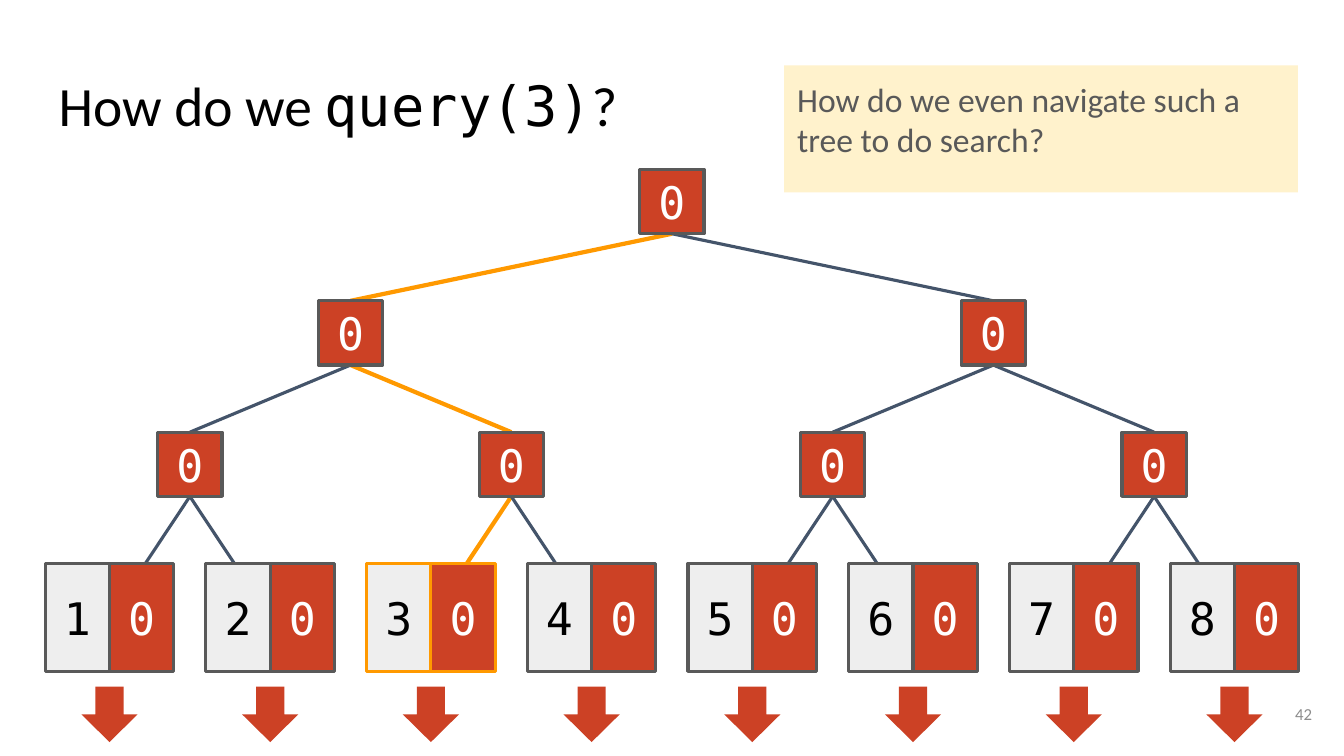
from dataclasses import dataclass

from pptx import Presentation
from pptx import util as u
from pptx.dml.color import RGBColor
from pptx.enum import shapes, text
from pptx.oxml import xmlchemy


@dataclass(frozen=True)
class Theme:
    sans: str = "Calibri"
    mono: str = "DejaVu Sans Mono"
    black: str = "000000"
    white: str = "FFFFFF"
    red: str = "CC4125"
    pale: str = "EEEEEE"
    cream: str = "FFF2CC"
    gray: str = "595959"
    faint: str = "8C8C8C"
    navy: str = "44546A"
    orange: str = "FF9900"
    title_size: float = 39.6
    value_size: float = 32
    note_size: float = 24
    number_size: float = 12
    border: float = 2.25
    path_line: float = 3


class Slide:
    def __init__(self, page, theme):
        self.page = page
        self.theme = theme

    def shape(self, kind, left, top, width, height, fill, line=None, group=None):
        parent = group or self.page
        box = parent.shapes.add_shape(kind, u.Cm(left), u.Cm(top), u.Cm(width), u.Cm(height))
        box.shadow.inherit = False
        box.fill.solid()
        box.fill.fore_color.rgb = RGBColor.from_string(fill)
        if line:
            box.line.color.rgb = RGBColor.from_string(line)
            box.line.width = u.Pt(self.theme.border)
        else:
            box.line.fill.background()
        return box

    def set_text(self, box, spans, size, color, align, anchor, inset=0.33):
        frame = box.text_frame
        frame.word_wrap = True
        frame.vertical_anchor = anchor
        frame.margin_left = frame.margin_right = u.Cm(inset)
        frame.margin_top = frame.margin_bottom = u.Cm(inset)
        para = frame.paragraphs[0]
        para.alignment = align
        for content, font in spans:
            span = para.add_run()
            span.text = content
            span.font.name = font
            span.font.size = u.Pt(size)
            span.font.color.rgb = RGBColor.from_string(color)
        return para

    def label(self, left, top, width, height, *style):
        box = self.page.shapes.add_textbox(u.Cm(left), u.Cm(top), u.Cm(width), u.Cm(height))
        return self.set_text(box, *style)

    def cell(self, value, left, top, width, height, fill, color, line, group=None):
        box = self.shape(shapes.MSO_SHAPE.RECTANGLE, left, top, width, height, fill, line, group)
        self.set_text(box, [(value, self.theme.mono)], self.theme.value_size, color,
                      text.PP_ALIGN.CENTER, text.MSO_ANCHOR.MIDDLE, 0)

    def edge(self, start, end, on_path):
        theme = self.theme
        line = self.page.shapes.add_connector(
            shapes.MSO_CONNECTOR.STRAIGHT, *(u.Cm(length) for length in start + end))
        line.line.color.rgb = RGBColor.from_string(theme.orange if on_path else theme.navy)
        line.line.width = u.Pt(theme.path_line if on_path else theme.border)
        effects = xmlchemy.OxmlElement("a:effectLst")
        line._element.spPr.append(effects)


CELL = 1.62
LEAF_HEIGHT = 2.72
LEAF_PITCH = 4.05
FIRST_LEAF = 2.76
ROOT_TOP = 4.27
LEVEL_GAP = 3.31
DEPTH = 3
QUERY_LEAF = 2
ARROW_WIDTH, ARROW_HEIGHT = 1.42, 1.4
ARROW_TOP = 17.3


def center(level, index):
    leaves_below = 2 ** (DEPTH - level)
    return FIRST_LEAF + LEAF_PITCH * ((index + 0.5) * leaves_below - 0.5)


def top_of(level):
    return ROOT_TOP + LEVEL_GAP * level


def on_query_path(level, index):
    return index == QUERY_LEAF >> (DEPTH - level)


def draw_tree(slide):
    theme = slide.theme
    for level in range(1, DEPTH + 1):
        end_y = top_of(level) + (LEAF_HEIGHT / 2 if level == DEPTH else 0)
        for index in range(2 ** level):
            start = (center(level - 1, index // 2), top_of(level - 1) + CELL)
            slide.edge(start, (center(level, index), end_y), on_query_path(level, index))

    for level in range(DEPTH):
        for index in range(2 ** level):
            slide.cell("0", center(level, index) - CELL / 2, top_of(level), CELL, CELL,
                       theme.red, theme.white, theme.gray)

    for index in range(2 ** DEPTH):
        middle = center(DEPTH, index)
        line = theme.orange if index == QUERY_LEAF else theme.gray
        leaf = slide.page.shapes.add_group_shape()
        slide.cell(str(index + 1), middle - CELL, top_of(DEPTH), CELL, LEAF_HEIGHT,
                   theme.pale, theme.black, line, leaf)
        slide.cell("0", middle, top_of(DEPTH), CELL, LEAF_HEIGHT,
                   theme.red, theme.white, line, leaf)
        slide.shape(shapes.MSO_SHAPE.DOWN_ARROW, middle - ARROW_WIDTH / 2, ARROW_TOP,
                    ARROW_WIDTH, ARROW_HEIGHT, theme.red)


def main():
    theme = Theme()
    deck = Presentation()
    deck.slide_width, deck.slide_height = u.Cm(33.87), u.Cm(19.05)
    slide = Slide(deck.slides.add_slide(deck.slide_layouts[6]), theme)
    left, top = text.PP_ALIGN.LEFT, text.MSO_ANCHOR.TOP

    title = slide.label(
        1.15, 1.65, 31.55, 2.13,
        [("How do we ", theme.sans), ("query(3)", theme.mono), ("?", theme.sans)],
        theme.title_size, theme.black, left, top)
    title.line_spacing = 0.9

    draw_tree(slide)

    slide.label(31.37, 17.27, 2.03, 1.45, [("42", theme.sans)], theme.number_size,
                theme.faint, text.PP_ALIGN.RIGHT, text.MSO_ANCHOR.MIDDLE)
    note = slide.shape(shapes.MSO_SHAPE.RECTANGLE, 19.76, 1.65, 12.95, 3.2, theme.cream)
    slide.set_text(note, [("How do we even navigate such a tree to do search?", theme.sans)],
                   theme.note_size, theme.gray, left, top)
    deck.save("out.pptx")


if __name__ == "__main__":
    main()
